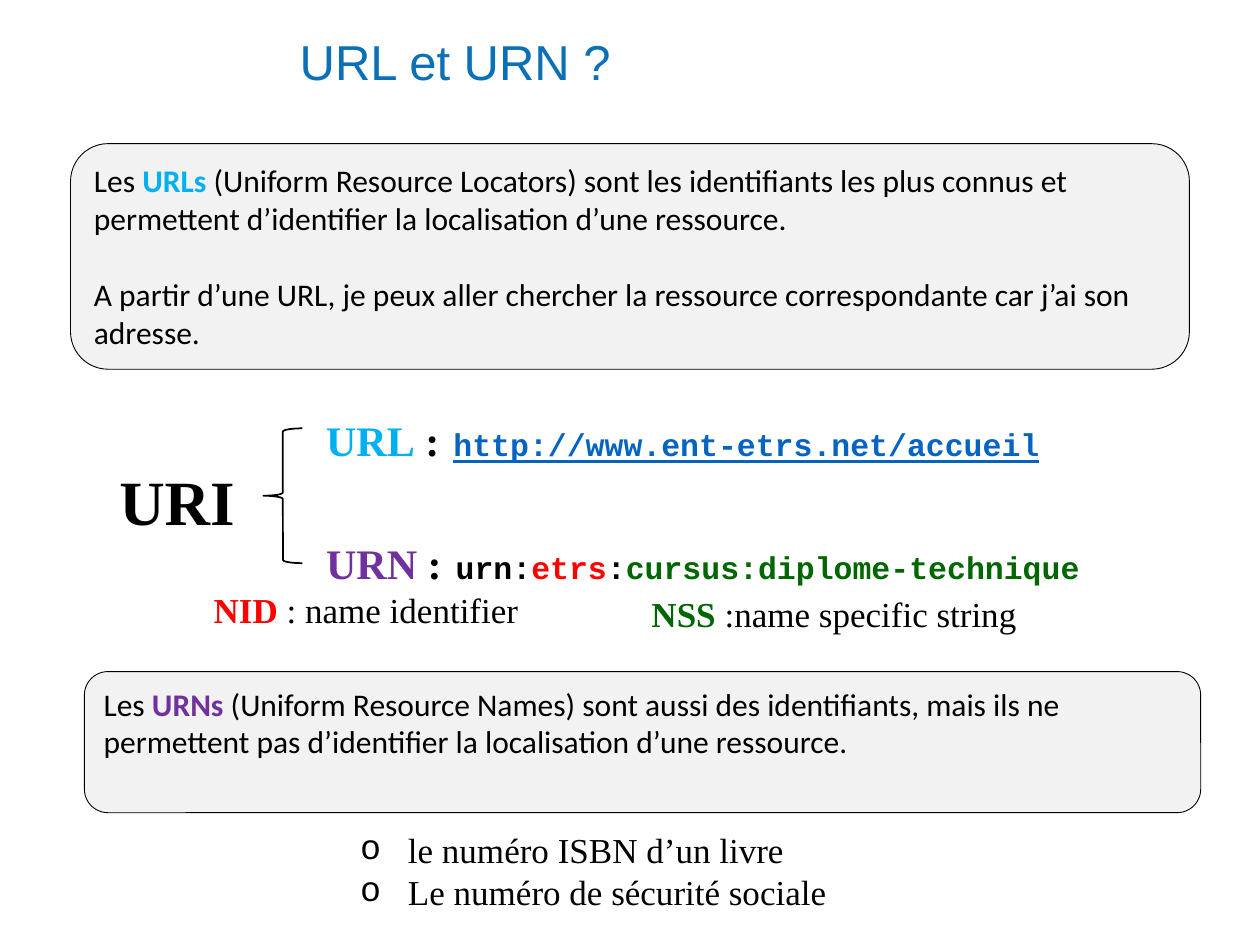
import pptx
import pptx.dml.color
import pptx.enum.shapes
import pptx.enum.text
import pptx.util
from lxml import etree
from pptx.util import Inches, Pt

COLORS = {
    "title": "0C70B7",
    "panel": "F2F2F2",
    "black": "000000",
    "url": "00B0F0",
    "urn": "7030A0",
    "link": "0563C1",
    "nid": "FF0000",
    "nss": "006600",
}
SERIF, SANS, MONO = "Times New Roman", "Calibri", "Courier New"
ALIGN = pptx.enum.text.PP_ALIGN
ANCHOR = pptx.enum.text.MSO_ANCHOR
SHAPES = pptx.enum.shapes.MSO_SHAPE


def rgb(name):
    """Return the named palette colour."""
    return pptx.dml.color.RGBColor.from_string(COLORS[name])


def style(font, name=None, size=None, color=None, bold=None, underline=None):
    """Apply the given settings to a font."""
    if name:
        font.name = name
    if size:
        font.size = Pt(size)
    if color:
        font.color.rgb = rgb(color)
    if bold is not None:
        font.bold = bold
    if underline is not None:
        font.underline = underline


def add_runs(paragraph, runs):
    """Append (text, font settings) runs to a paragraph."""
    for text, settings in runs:
        run = paragraph.add_run()
        run.text = text
        style(run.font, **settings)


def add_text_box(slide, box, top_margin=0.05):
    """Add a wrapping text box and return its text frame."""
    frame = slide.shapes.add_textbox(*map(Inches, box)).text_frame
    frame.word_wrap = True
    frame.margin_top = Inches(top_margin)
    return frame


def add_outlined_shape(slide, kind, box, line_width):
    """Add a preset shape with a black outline and no shadow."""
    shape = slide.shapes.add_shape(kind, *map(Inches, box))
    shape.shadow.inherit = False
    shape.line.color.rgb = rgb("black")
    shape.line.width = Pt(line_width)
    return shape


def add_title(slide, box, text):
    """Place the slide title."""
    frame = add_text_box(slide, box)
    frame.vertical_anchor = ANCHOR.MIDDLE
    paragraph = frame.paragraphs[0]
    paragraph.text = text
    paragraph.line_spacing = 0.9
    style(paragraph.font, "Arial", 28, "title")


def add_panel(slide, box, paragraphs):
    """Place a rounded grey panel holding paragraphs of runs."""
    shape = add_outlined_shape(slide, SHAPES.ROUNDED_RECTANGLE, box, 0.5)
    shape.fill.solid()
    shape.fill.fore_color.rgb = rgb("panel")
    frame = shape.text_frame
    frame.word_wrap = True
    frame.vertical_anchor = ANCHOR.TOP
    for index, runs in enumerate(paragraphs):
        paragraph = frame.add_paragraph() if index else frame.paragraphs[0]
        paragraph.alignment = ALIGN.LEFT
        if index:
            paragraph.space_before = Pt(22)
        style(paragraph.font, SANS, 18, "black")
        add_runs(paragraph, [(text, {"color": "black", **settings}) for text, settings in runs])


def add_label(slide, box, size, runs, top_margin):
    """Place a centred serif label."""
    paragraph = add_text_box(slide, box, top_margin).paragraphs[0]
    paragraph.alignment = ALIGN.CENTER
    style(paragraph.font, SERIF, size)
    add_runs(paragraph, runs)


def add_examples(slide, box, entries):
    """Place the two identifier kinds with their sample values."""
    frame = add_text_box(slide, box, 0.11)
    for index, (name, color, value) in enumerate(entries):
        paragraph = frame.add_paragraph() if index else frame.paragraphs[0]
        if index:
            paragraph.space_before = Pt(32)
        style(paragraph.font, bold=True)
        heading = [
            (name, {"size": 24, "color": color}),
            (" :", {"size": 24, "color": "black"}),
            (" ", {"size": 32, "color": "black"}),
        ]
        add_runs(paragraph, [(text, {"name": SERIF, **settings}) for text, settings in heading])
        add_runs(paragraph, [(text, {"name": MONO, "size": 18, **settings}) for text, settings in value])


def add_uri_diagram(slide, left, top):
    """Place the URI scheme with its brace, examples and legend."""
    add_examples(slide, (left + 1.93, top, 6.19, 1.93), [
        ("URL", "url", [("http://www.ent-etrs.net/accueil", {"color": "link", "underline": True})]),
        ("URN", "urn", [
            ("urn:", {"color": "black"}),
            ("etrs", {"color": "nid"}),
            (":", {"color": "black"}),
            ("cursus:diplome-technique", {"color": "nss"}),
        ]),
    ])
    brace = add_outlined_shape(slide, SHAPES.LEFT_BRACE, (left + 1.53, top + 0.33, 0.31, 1.07), 1)
    brace.fill.background()
    add_label(slide, (left, top + 0.5, 1.69, 0.71), 36,
              [("URI", {"color": "black", "bold": True})], 0.1)
    legend = [
        ((left + 0.63, top + 1.52, 3.43, 0.44), "NID ", "nid", ": name identifier"),
        ((left + 4.29, top + 1.55, 3.54, 0.44), "NSS ", "nss", ":name specific string"),
    ]
    for box, name, color, meaning in legend:
        add_label(slide, box, 20, [
            (name, {"color": color, "bold": True}),
            (meaning, {"color": "black"}),
        ], 0.08)


def add_bullets(slide, box, items):
    """Place a list with hanging round-letter bullets."""
    frame = add_text_box(slide, box)
    for index, item in enumerate(items):
        paragraph = frame.add_paragraph() if index else frame.paragraphs[0]
        paragraph.text = item
        properties = paragraph._p.get_or_add_pPr()
        properties.set("marL", str(Inches(0.38)))
        properties.set("indent", str(-Inches(0.38)))
        for tag, attribute, value in (("buFont", "typeface", MONO), ("buChar", "char", "o")):
            element = etree.SubElement(properties, pptx.oxml.ns.qn("a:" + tag))
            element.set(attribute, value)
        style(paragraph.font, SERIF, 20, "black")


def main():
    """Build and save the slide."""
    presentation = pptx.Presentation()
    presentation.slide_width = Inches(10)
    presentation.slide_height = Inches(7.5)
    slide = presentation.slides.add_slide(presentation.slide_layouts[6])
    add_title(slide, (2.28, 0.16, 7.72, 0.71), "URL et URN ?")
    add_panel(slide, (0.56, 1.14, 8.88, 1.79), [
        [
            ("Les ", {}),
            ("URLs", {"color": "url", "bold": True}),
            (" (Uniform Resource Locators) sont les identifiants les plus connus et "
             "permettent d’identifier la localisation d’une ressource.", {}),
        ],
        [("A partir d’une URL, je peux aller chercher la ressource correspondante "
          "car j’ai son adresse.", {})],
    ])
    add_panel(slide, (0.67, 5.33, 8.86, 1.12), [[
        ("Les ", {}),
        ("URNs", {"color": "urn", "bold": True}),
        (" (Uniform Resource Names) sont aussi des identifiants, mais ils ne "
         "permettent pas d’identifier la localisation d’une ressource.", {}),
    ]])
    add_bullets(slide, (2.76, 6.53, 5, 0.77),
                ["le numéro ISBN d’un livre", "Le numéro de sécurité sociale"])
    add_uri_diagram(slide, 0.56, 3.07)
    presentation.save("out.pptx")


if __name__ == "__main__":
    main()
